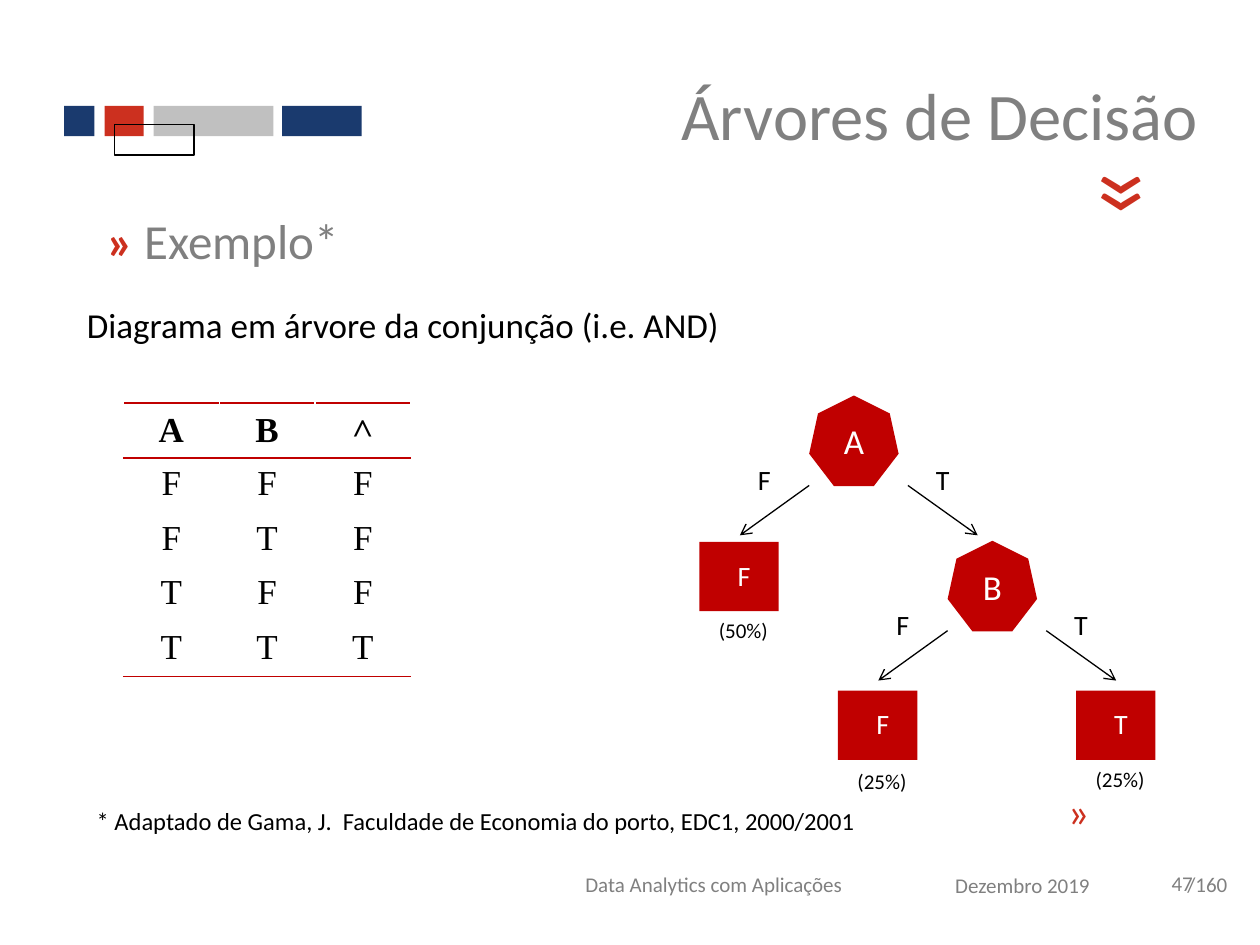
from lxml import etree
from pptx import Presentation
from pptx.dml.color import RGBColor
from pptx.enum.shapes import MSO_CONNECTOR, MSO_SHAPE
from pptx.enum.text import MSO_ANCHOR, PP_ALIGN
from pptx.oxml.ns import qn
from pptx.util import Pt

LEFT, CENTER, RIGHT, JUSTIFY = PP_ALIGN.LEFT, PP_ALIGN.CENTER, PP_ALIGN.RIGHT, PP_ALIGN.JUSTIFY
TOP, MIDDLE = MSO_ANCHOR.TOP, MSO_ANCHOR.MIDDLE
RECTANGLE, HEPTAGON = MSO_SHAPE.RECTANGLE, MSO_SHAPE.HEPTAGON
STRAIGHT = MSO_CONNECTOR.STRAIGHT

SANS, SERIF = "Calibri", "Times New Roman"
BLACK, WHITE, GRAY = "000000", "FFFFFF", "808080"
NAVY, ORANGE, SILVER, RED = "1A3A6E", "CC301F", "C0C0C0", "C00000"

BARS = [
    (36.7, 17.3, NAVY),
    (59.8, 22.3, ORANGE),
    (87.8, 68.4, SILVER),
    (161.3, 45.4, NAVY),
]
TEXTS = [
    ("Árvores de Decisão", (229.7, 31.7, 462.2, 67),
     dict(size=38, color=GRAY, align=RIGHT, anchor=MIDDLE)),
    ("«", (612, 74.2, 39.6, 79.2), dict(size=60, color=ORANGE, rotation=270)),
    ("«", (593.3, 452.2, 36.7, 36), dict(size=24, color=ORANGE, rotation=180)),
    ("Diagrama em árvore da conjunção (i.e. AND)", (42.5, 169.9, 635, 31.7),
     dict(size=20, align=JUSTIFY)),
    ("* Adaptado de Gama, J.  Faculdade de Economia do porto, EDC1, 2000/2001",
     (48.2, 457.2, 499.7, 24.5), dict(size=14, wrap=False)),
    ("Data Analytics com Aplicações", (297.4, 485.3, 221, 39.6),
     dict(size=12, color=GRAY, align=CENTER, anchor=MIDDLE)),
    ("Dezembro 2019", (518.4, 486, 131.8, 39.6),
     dict(size=12, color=GRAY, align=CENTER, anchor=MIDDLE)),
    ("47", (662.4, 493.9, 31.7, 21.6), dict(size=12, color=GRAY)),
    ("/160", (652.3, 485.3, 67.7, 39.6),
     dict(size=12, color=GRAY, anchor=MIDDLE, inset=26.2)),
]
HEADING = [("» ", ORANGE, True), ("Exemplo*", GRAY, False)]
TRUTH_TABLE = [
    ("A", "B", "˄"),
    ("F", "F", "F"),
    ("F", "T", "F"),
    ("T", "F", "F"),
    ("T", "T", "T"),
]
NODES = [("A", 462.4, 226), ("B", 541.5, 309)]
BRANCHES = [("F", -45.4, 0, -39.6), ("T", 56.4, 56.4, 96.3)]
LEAVES = [
    ("F", "(50%)", 399.6, 309.6, 39.6),
    ("F", "(25%)", 478.8, 394.6, 41),
    ("T", "(25%)", 614.9, 394.6, 39.6),
]


def rgb(color):
    return RGBColor.from_string(color)


def write(paragraph, text, size, color=BLACK, bold=False, font=SANS):
    span = paragraph.add_run()
    span.text = text
    span.font.name = font
    span.font.size = Pt(size)
    span.font.bold = bold
    span.font.color.rgb = rgb(color)


def add_text(page, text, frame, size, color=BLACK, align=LEFT, anchor=TOP,
             wrap=True, rotation=0, inset=7.2):
    box = page.shapes.add_textbox(*map(Pt, frame))
    box.rotation = rotation
    body = box.text_frame
    body.word_wrap = wrap
    body.vertical_anchor = anchor
    body.margin_left = Pt(inset)
    para = body.paragraphs[0]
    para.alignment = align
    if text:
        write(para, text, size, color)
    return para


def add_block(page, kind, frame, fill=None, line=None):
    block = page.shapes.add_shape(kind, *map(Pt, frame))
    block.shadow.inherit = False
    if fill:
        block.fill.solid()
        block.fill.fore_color.rgb = rgb(fill)
    else:
        block.fill.background()
    if line:
        block.line.color.rgb = rgb(line)
        block.line.width = Pt(0.75)
    else:
        block.line.fill.background()
    return block


def add_arrow(page, *ends):
    arrow = page.shapes.add_connector(STRAIGHT, *map(Pt, ends))
    arrow.line.color.rgb = rgb(BLACK)
    arrow.line.width = Pt(0.75)
    etree.SubElement(arrow.line._get_or_add_ln(), qn("a:tailEnd"), type="arrow")
    etree.SubElement(arrow._element.spPr, qn("a:effectLst"))


def set_borders(cell, top, bottom):
    properties = cell._tc.get_or_add_tcPr()
    for side, color in (("L", WHITE), ("R", WHITE), ("T", top), ("B", bottom)):
        line = etree.SubElement(properties, qn(f"a:ln{side}"), w=str(Pt(1)))
        fill = etree.SubElement(line, qn("a:solidFill"))
        etree.SubElement(fill, qn("a:srgbClr"), val=color)


def add_truth_table(page):
    count, width, height = len(TRUTH_TABLE), 54.7, 31.2
    columns = len(TRUTH_TABLE[0])
    table = page.shapes.add_table(count, columns, Pt(70.6), Pt(230.4),
                                  Pt(columns * width), Pt(count * height)).table
    table.first_row = table.horz_banding = False
    for column in table.columns:
        column.width = Pt(width)
    for index, values in enumerate(TRUTH_TABLE):
        table.rows[index].height = Pt(height)
        for column, value in enumerate(values):
            cell = table.cell(index, column)
            set_borders(cell, RED if index < 2 else WHITE,
                        RED if index in (0, count - 1) else WHITE)
            cell.fill.background()
            cell.vertical_anchor = MIDDLE if index == 0 and column < 2 else TOP
            para = cell.text_frame.paragraphs[0]
            para.alignment = CENTER
            write(para, value, 20, bold=index == 0, font=SERIF)


def add_tree(page):
    for name, left, top in NODES:
        node = add_block(page, HEPTAGON, (left, top, 51.1, 51.8), RED)
        body = node.text_frame
        body.margin_left = body.margin_right = body.margin_top = body.margin_bottom = 0
        body.vertical_anchor = MIDDLE
        body.paragraphs[0].alignment = CENTER
        write(body.paragraphs[0], name, 20, WHITE)
        for label, label_x, start_x, end_x in BRANCHES:
            add_arrow(page, left + start_x, top + 51.4, left + end_x, top + 79.9)
            add_text(page, label, (left + label_x, top + 34.6, 39.6, 26.6), 16, align=CENTER)
    for value, share, left, top, drop in LEAVES:
        add_block(page, RECTANGLE, (left, top, 45.4, 39.6), RED)
        add_text(page, value, (left + 5.8, top + 5.8, 39.6, 26.6), 16, WHITE, CENTER)
        add_text(page, share, (left, top + drop, 50.4, 21.6), 12, align=CENTER)


def main():
    deck = Presentation()
    deck.slide_width, deck.slide_height = Pt(720), Pt(540)
    page = deck.slides.add_slide(deck.slide_layouts[6])
    for left, width, color in BARS:
        add_block(page, RECTANGLE, (left, 60.5, width, 17.3), color)
    add_block(page, RECTANGLE, (65.5, 71.3, 45.4, 17.3), line=BLACK)
    for text, frame, style in TEXTS:
        add_text(page, text, frame, **style)
    heading = add_text(page, "", (54, 116.6, 635, 41), 28)
    for text, color, bold in HEADING:
        write(heading, text, 28, color, bold)
    add_truth_table(page)
    add_tree(page)
    deck.save("out.pptx")


if __name__ == "__main__":
    main()
